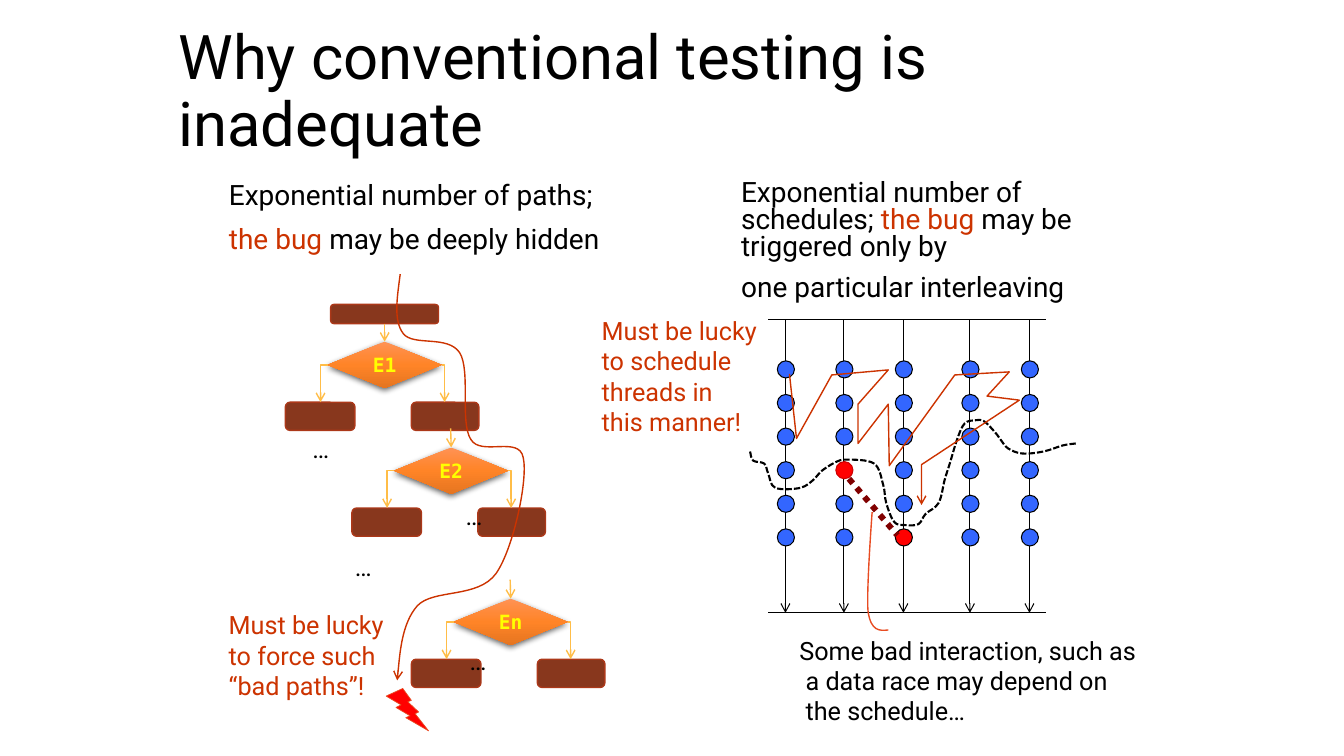
from copy import deepcopy
from dataclasses import dataclass
from itertools import product
from typing import NamedTuple, Optional

from lxml.etree import SubElement
from pptx import Presentation
from pptx.dml.color import RGBColor as Rgb
from pptx.enum.dml import MSO_LINE_DASH_STYLE as Dash
from pptx.enum.shapes import MSO_CONNECTOR as Link, MSO_SHAPE as Kind
from pptx.enum.text import MSO_ANCHOR as Anchor, MSO_AUTO_SIZE as Fit, PP_ALIGN as Align
from pptx.oxml.ns import qn
from pptx.util import Cm, Length, Pt


@dataclass(frozen=True)
class Theme:
    font: str = "Roboto"
    code_font: str = "DejaVu Sans Mono"
    title_size: float = 44
    body_size: float = 20
    note_size: float = 18
    code_size: float = 14
    ink: str = "000000"
    bug: str = "CC3300"
    block: str = "88371D"
    block_edge: str = "AC3819"
    flow: str = "FFBD47"
    condition: str = "FFFF00"
    decision: tuple[str, ...] = ("FF9254", "FF8427", "E57520")
    step: str = "3366FF"
    race: str = "FF0000"
    race_edge: str = "CC0000"
    race_link: str = "800000"
    accent: str = "E84C22"


class Point(NamedTuple):
    x: float
    y: float


class Stroke(NamedTuple):
    color: str
    width: float
    arrow: bool = False
    dash: Optional[Dash] = None


class Branch(NamedTuple):
    condition: str
    x: float
    y: float


class Note(NamedTuple):
    x: float
    y: float
    width: float
    height: float
    lines: tuple[str, ...]
    color: str
    wrap: bool = False


THEME = Theme()
FLOW = Stroke(THEME.flow, 1, arrow=True)
BLOCK_EDGE = Stroke(THEME.block_edge, 1)
THIN = Stroke(THEME.ink, 0.75)
LUCKY = Stroke(THEME.bug, 1, arrow=True)

BRANCHES = (Branch("E1", 3.25, 3.39), Branch("E2", 3.91, 4.44), Branch("En", 4.5, 5.94))
THREADS = (7.79, 8.37, 8.96, 9.62, 10.21)
STEPS = 6
RACE_EDGES = {(1, 3): THEME.race_edge, (2, 5): THEME.ink}

NOTES = tuple(Note(x, y, 0.38, 0.4, ("…",), THEME.ink, True)
              for x, y in ((3.42, 5.42), (3, 4.25), (4.56, 6.35), (4.52, 4.91))) + (
    Note(2.17, 6, 1.76, 1.01, ("Must be lucky", "to force such", "“bad paths”!"), THEME.bug),
    Note(5.87, 3.08, 1.74, 1.31,
         ("Must be lucky", "to schedule", "threads in", "this manner!"), THEME.bug),
    Note(7.83, 6.25, 3.6, 1.01,
         ("Some bad interaction, such as", " a data race may depend on", " the schedule…"), THEME.ink),
)

SCHEDULE = ((7.44, 4.48), (7.47, 4.57), (7.58, 4.6), (7.62, 4.7), (7.69, 4.84), (7.94, 4.84),
            (8.08, 4.75), (8.14, 4.68), (8.28, 4.59), (8.4, 4.56), (8.67, 4.6), (8.76, 4.81),
            (8.79, 4.99), (8.87, 5.18), (8.98, 5.21), (9.11, 5.2), (9.18, 5.1), (9.31, 4.99),
            (9.37, 4.76), (9.42, 4.6), (9.5, 4.34), (9.57, 4.2), (9.67, 4.17), (9.76, 4.18),
            (9.87, 4.29), (9.93, 4.37), (10, 4.45), (10.14, 4.5), (10.35, 4.48), (10.54, 4.42),
            (10.67, 4.4))
INTERLEAVING = ((7.83, 3.71), (7.9, 4.35), (8.25, 3.72), (8.81, 3.67), (8.51, 4.01), (8.51, 4.4),
                (8.81, 4.01), (8.82, 4.62), (9.47, 3.72), (10.01, 3.69), (9.79, 3.93),
                (10.11, 3.97), (9.14, 4.61), (9.14, 5.01))
BAD_PATH = ((3.97, 2.72), (3.94, 2.95), (3.9, 3.18), (4, 3.31), (4.1, 3.44), (4.44, 3.32),
            (4.56, 3.5), (4.67, 3.68), (4.56, 4.19), (4.67, 4.36), (4.77, 4.53), (5.15, 4.32),
            (5.19, 4.54), (5.24, 4.76), (5.09, 5.45), (4.92, 5.69), (4.74, 5.94), (4.3, 5.84),
            (4.14, 6.01), (3.98, 6.19), (3.94, 6.75), (3.94, 6.75))
RACE_POINTER = ((8.81, 6.25), (8.72, 6.26), (8.64, 6.26), (8.61, 6.07), (8.59, 5.88),
                (8.65, 5.08), (8.65, 5.08))


def inch(value: float) -> Length:
    return Cm(value * 2.54)


def set_font(font, size: float, color: str, name: str = THEME.font) -> None:
    font.name, font.size, font.color.rgb = name, Pt(size), Rgb.from_string(color)


def draw_stroke(line, stroke: Stroke) -> None:
    line.color.rgb, line.width = Rgb.from_string(stroke.color), Pt(stroke.width)
    if stroke.dash:
        line.dash_style = stroke.dash
    if stroke.arrow:
        SubElement(line._get_or_add_ln(), qn("a:tailEnd"), type="arrow")


def add_link(shapes, start: Point, end: Point, stroke: Stroke, bent: bool = False):
    link = shapes.add_connector(Link.ELBOW if bent else Link.STRAIGHT, *map(inch, start + end))
    if bent:
        link._element.spPr.find(qn("a:prstGeom")).set("prst", "bentConnector2")
    draw_stroke(link.line, stroke)
    SubElement(link._element.spPr, qn("a:effectLst"))
    return link


def add_solid(shapes, kind: Kind, box: tuple[float, ...], fill: str, edge: Stroke):
    solid = shapes.add_shape(kind, *map(inch, box))
    solid.shadow.inherit = False
    solid.fill.solid()
    solid.fill.fore_color.rgb = Rgb.from_string(fill)
    draw_stroke(solid.line, edge)
    return solid


def add_decision(shapes, branch: Branch):
    decision = shapes.add_shape(Kind.FLOWCHART_DECISION, *map(inch, (branch.x, branch.y, 1.13, 0.46)))
    decision.fill.gradient()
    decision.fill.gradient_angle = 270
    stops = decision._element.spPr.find(".//" + qn("a:gsLst"))
    stops.insert(1, deepcopy(stops[0]))
    for index, (stop, color) in enumerate(zip(decision.fill.gradient_stops, THEME.decision)):
        stop.position, stop.color.rgb = index / 2, Rgb.from_string(color)
    decision.line.fill.background()
    decision.shadow.inherit = False
    effects = decision._element.spPr.find(qn("a:effectLst"))
    shadow = SubElement(effects, qn("a:outerShdw"), blurRad=str(Pt(4.5)), dist=str(Pt(1.5)),
                        dir="5400000", rotWithShape="0")
    tint = SubElement(shadow, qn("a:srgbClr"), val=THEME.ink)
    SubElement(tint, qn("a:alpha"), val="63000")
    frame = decision.text_frame
    frame.margin_left = frame.margin_right = frame.margin_top = frame.margin_bottom = 0
    frame.vertical_anchor, frame.word_wrap = Anchor.MIDDLE, False
    label = frame.paragraphs[0]
    label.text, label.alignment, label.font.bold = branch.condition, Align.CENTER, True
    set_font(label.font, THEME.code_size, THEME.condition, THEME.code_font)
    return decision


def add_branch(shapes, branch: Branch, root=None) -> None:
    x, y = branch.x, branch.y
    add_solid(shapes, Kind.ROUNDED_RECTANGLE, (x + 0.83, y + 0.6, 0.67, 0.28), THEME.block, BLOCK_EDGE)
    decision = add_decision(shapes, branch)
    add_solid(shapes, Kind.ROUNDED_RECTANGLE, (x - 0.42, y + 0.6, 0.69, 0.28), THEME.block, BLOCK_EDGE)
    for side, target in ((1.13, 1.16), (0, -0.07)):
        add_link(shapes, Point(x + side, y + 0.23), Point(x + target, y + 0.6), FLOW, bent=True)
    entry = add_link(shapes, Point(x + 0.56, y - 0.19), Point(x + 0.56, y), FLOW)
    if root is not None:
        entry.begin_connect(root, 2)
    entry.end_connect(decision, 0)


def add_trace(shapes, points, stroke: Stroke, curved: bool = True) -> None:
    start, *rest = [tuple(map(inch, point)) for point in points]
    builder = shapes.build_freeform(*start)
    builder.add_line_segments(rest, close=False)
    trace = builder.convert_to_shape()
    trace.shadow.inherit = False
    trace.fill.background()
    draw_stroke(trace.line, stroke)
    if curved:
        outline = trace._element.spPr.find(".//" + qn("a:path"))
        segments = outline.findall(qn("a:lnTo"))
        for first in range(0, len(segments), 3):
            curve = SubElement(outline, qn("a:cubicBezTo"))
            for segment in segments[first:first + 3]:
                curve.append(segment[0])
                outline.remove(segment)


def smooth(anchors) -> list[Point]:
    padded = [Point(*anchor) for anchor in (anchors[0], *anchors, anchors[-1])]
    points = [padded[1]]
    for before, start, end, after in zip(padded, padded[1:], padded[2:], padded[3:]):
        points += [Point(start.x + (end.x - before.x) / 6, start.y + (end.y - before.y) / 6),
                   Point(end.x - (after.x - start.x) / 6, end.y - (after.y - start.y) / 6), end]
    return points


def add_note(shapes, note: Note) -> None:
    frame = shapes.add_textbox(*map(inch, note[:4])).text_frame
    frame.word_wrap, frame.auto_size = note.wrap, Fit.SHAPE_TO_FIT_TEXT
    frame.text = "\n".join(note.lines)
    for line in frame.paragraphs:
        set_font(line.font, THEME.note_size, note.color)


def place(holder, box: tuple[float, ...], anchor: Anchor):
    holder.left, holder.top, holder.width, holder.height = map(inch, box)
    frame = holder.text_frame
    frame.auto_size, frame.word_wrap, frame.vertical_anchor = Fit.NONE, True, anchor
    return frame


def fill_body(holder, left: float, spacing: float, paragraphs) -> None:
    frame = place(holder, (left, 1.75, 4.42, 1.08), Anchor.TOP)
    for index, runs in enumerate(paragraphs):
        line = frame.add_paragraph() if index else frame.paragraphs[0]
        properties = line._p.get_or_add_pPr()
        properties.set("marL", str(inch(0.25)))
        properties.set("indent", "0")
        SubElement(properties, qn("a:buNone"))
        line.line_spacing, line.space_before = spacing, Pt(10 if index else 0)
        set_font(line.font, THEME.body_size, THEME.ink)
        for text in runs:
            run = line.add_run()
            run.text = text
            if text == "the bug ":
                run.font.color.rgb = Rgb.from_string(THEME.bug)


def main() -> None:
    deck = Presentation()
    deck.slide_width, deck.slide_height = inch(13.33), inch(7.5)
    slide = deck.slides.add_slide(deck.slide_layouts[3])
    shapes = slide.shapes
    title, paths, schedules = slide.placeholders
    heading = place(title, (1.67, 0.3, 10, 1.25), Anchor.MIDDLE).paragraphs[0]
    heading.text, heading.alignment, heading.line_spacing = (
        "Why conventional testing is inadequate", Align.LEFT, 0.9)
    set_font(heading.font, THEME.title_size, THEME.ink)
    fill_body(paths, 1.92, 0.9, (("Exponential number of paths;",),
                                 ("the bug ", "may be deeply hidden")))
    fill_body(schedules, 7, 0.8, (
        ("Exponential number of schedules; ", "the bug ", "may be triggered only by"),
        ("one particular interleaving",)))

    root = add_solid(shapes, Kind.ROUNDED_RECTANGLE, (3.28, 3.02, 1.07, 0.19), THEME.block, BLOCK_EDGE)
    for branch, parent in zip(BRANCHES, (root, None, None)):
        add_branch(shapes, branch, parent)

    for y in (3.17, 6.08):
        add_link(shapes, Point(7.62, y), Point(10.37, y), THIN)
    for x in THREADS:
        add_link(shapes, Point(x, 3.17), Point(x, 6.08), THIN._replace(arrow=True))
    for thread, step in product(range(len(THREADS)), range(STEPS)):
        edge = RACE_EDGES.get((thread, step))
        add_solid(shapes, Kind.OVAL, (THREADS[thread] - 0.08, 3.58 + step / 3, 0.17, 0.17),
                  THEME.race if edge else THEME.step, THIN._replace(color=edge or THEME.ink))

    add_trace(shapes, smooth(SCHEDULE), Stroke(THEME.ink, 1.5, dash=Dash.SQUARE_DOT))
    add_solid(shapes, Kind.LIGHTNING_BOLT, (3.83, 6.83, 0.42, 0.42), THEME.race, Stroke(THEME.accent, 0.5))
    add_trace(shapes, INTERLEAVING, LUCKY, curved=False)
    add_trace(shapes, BAD_PATH, LUCKY)
    add_link(shapes, Point(8.42, 4.75), Point(8.9, 5.31),
             Stroke(THEME.race_link, 4.25, dash=Dash.ROUND_DOT))
    for note in NOTES:
        add_note(shapes, note)
    add_trace(shapes, RACE_POINTER, Stroke(THEME.accent, 1))
    deck.save("out.pptx")


if __name__ == "__main__":
    main()
